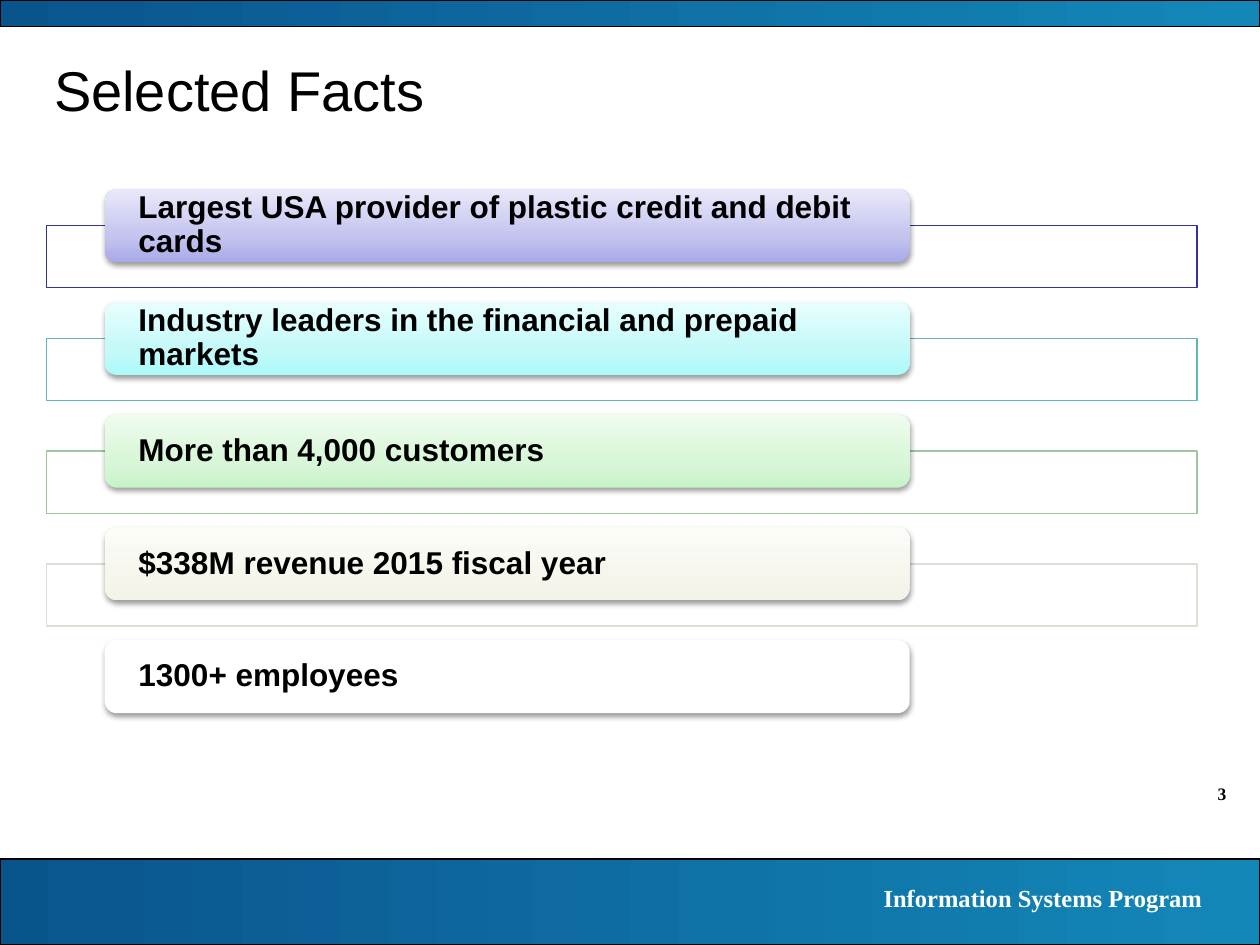
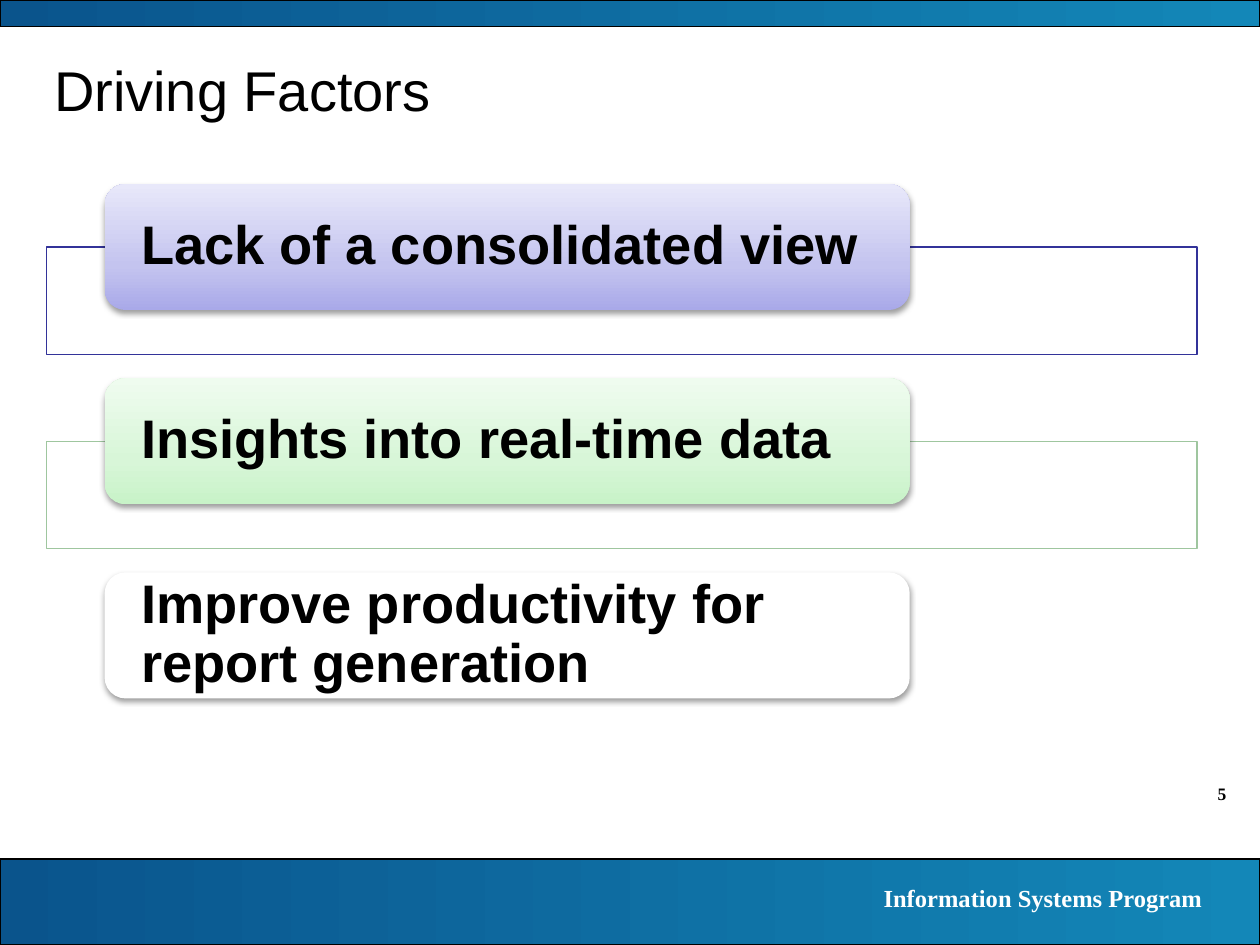
from dataclasses import dataclass
from lxml import etree
from pptx import Presentation
from pptx.dml.color import RGBColor
from pptx.enum.shapes import MSO_SHAPE
from pptx.enum.text import MSO_ANCHOR, PP_ALIGN
from pptx.oxml import parse_xml
from pptx.oxml.ns import nsdecls, qn
from pptx.util import Cm, Pt

RECT, ROUND = MSO_SHAPE.RECTANGLE, MSO_SHAPE.ROUNDED_RECTANGLE
TOP, MID = MSO_ANCHOR.TOP, MSO_ANCHOR.MIDDLE
LEFT, RIGHT = PP_ALIGN.LEFT, PP_ALIGN.RIGHT

SLIDES = [
    {"title": "Selected Facts", "page": "3", "size": 18, "top": 3.81, "facts": [
        ("Largest USA provider of plastic credit and debit cards", "blue"),
        ("Industry leaders in the financial and prepaid markets", "aqua"),
        ("More than 4,000 customers", "green"),
        ("$338M revenue 2015 fiscal year", "sand"),
        ("1300+ employees", "white")]},
    {"title": "Driving Factors", "page": "5", "size": 31, "top": 3.71, "facts": [
        ("Lack of a consolidated view", "blue"),
        ("Insights into real-time data", "green"),
        ("Improve productivity for report generation", "white")]},
]
FOOTER = "Information Systems Program"

TONES = {
    "blue": ("333399", [(0, "A9A9E9"), (35, "C4C4EF"), (100, "E8E8FA")]),
    "aqua": ("61B7B7", [(0, "ACF9F9"), (35, "C5F9F9"), (100, "E8FEFE")]),
    "green": ("9FC69F", [(0, "C8F3C8"), (35, "D8F6D8"), (100, "EFFCEF")]),
    "sand": ("DEDED4", [(0, "F3F3E7"), (35, "F6F6ED"), (100, "FCFCF8")]),
    "white": ("FFFFFF", [(0, "FFFFFF")]),
}


@dataclass(frozen=True)
class Theme:
    ink: str = "000000"
    paper: str = "FFFFFF"
    band: tuple = ((0, "0A548C"), (100, "1387B8"))
    sans: str = "Arial"
    serif: str = "Times New Roman"
    title: int = 32
    footer: int = 14
    page: int = 10
    line: float = 0.75


THEME = Theme()
WIDE, HIGH = 25.4, 19.05
BANDS = [(17.32, 1.73), (0, 0.53)]
FRAME_X, FRAME_W = 0.94, 23.19
CARD_X, CARD_W = 2.11, 16.23
CARD_PER_PT = 0.08 + 0.01 / 5
FRAME_RATIO, STEP_RATIO = 0.85, 1.54


def write(shape, text, size, font, color, bold=True, align=LEFT, anchor=TOP):
    frame = shape.text_frame
    frame.text = text
    frame.word_wrap = True
    frame.vertical_anchor = anchor
    para = frame.paragraphs[0]
    para.alignment = align
    face = para.runs[0].font
    face.name, face.size, face.bold = font, Pt(size), bold
    face.color.rgb = RGBColor.from_string(color)
    return frame


def label(slide, box, *args, **kwargs):
    write(slide.shapes.add_textbox(*map(Cm, box)), *args, **kwargs)


def blend(shape, stops, angle):
    shape.fill.background()
    marks = "".join(
        f'<a:gs pos="{pos * 1000}"><a:srgbClr val="{color}"/></a:gs>'
        for pos, color in stops)
    props = shape.element.spPr
    props.replace(props.find(qn("a:noFill")), parse_xml(
        f'<a:gradFill {nsdecls("a")} rotWithShape="1"><a:gsLst>{marks}</a:gsLst>'
        f'<a:lin ang="{angle * 60000}" scaled="0"/></a:gradFill>'))


def block(slide, kind, box, stops, angle=0, line=None):
    shape = slide.shapes.add_shape(kind, *map(Cm, box))
    shape.shadow.inherit = False
    if len(stops) > 1:
        blend(shape, stops, angle)
    else:
        shape.fill.solid()
        shape.fill.fore_color.rgb = RGBColor.from_string(stops[0][1])
    if line:
        shape.line.color.rgb = RGBColor.from_string(line)
        shape.line.width = Pt(THEME.line)
    else:
        shape.line.fill.background()
    return shape


def fade(shape, percent):
    color = shape.element.spPr.find(qn("a:solidFill"))[0]
    etree.SubElement(color, qn("a:alpha"), val=str(percent * 1000))


def shade(shape):
    shape.element.spPr.find(qn("a:effectLst")).append(parse_xml(
        f'<a:outerShdw {nsdecls("a")} blurRad="{Pt(3.1)}" dist="{Pt(1.6)}" '
        f'dir="5400000" rotWithShape="0"><a:srgbClr val="{THEME.ink}">'
        '<a:alpha val="38000"/></a:srgbClr></a:outerShdw>'))


def base(slide, title, page):
    label(slide, (22.86, 15.67, 2.11, 0.69), page, THEME.page, THEME.serif,
          THEME.ink, align=RIGHT)
    for top, tall in BANDS:
        block(slide, RECT, (0, top, WIDE, tall), THEME.band, line=THEME.ink)
    label(slide, (14.1, 17.68, 10.39, 0.86), FOOTER, THEME.footer, THEME.serif,
          THEME.paper, align=RIGHT)
    label(slide, (0.84, 0.84, 23.29, 1.9), title, THEME.title, THEME.sans,
          THEME.ink, bold=False, anchor=MID)


def stack(slide, facts, size, top):
    tall = size * CARD_PER_PT
    for row, (text, tone) in enumerate(facts):
        line, stops = TONES[tone]
        y = top + row * tall * STEP_RATIO
        frame = block(slide, RECT,
                      (FRAME_X, y + tall / 2, FRAME_W, tall * FRAME_RATIO),
                      [(0, THEME.paper)], line=line)
        fade(frame, 90)
        card = block(slide, ROUND, (CARD_X, y, CARD_W, tall), stops, 270)
        shade(card)
        body = write(card, text, size, THEME.sans, THEME.ink, anchor=MID)
        body.margin_left = body.margin_right = Cm(0.61)
        body.margin_top = body.margin_bottom = 0
        body.paragraphs[0].line_spacing = 0.9


def main():
    deck = Presentation()
    deck.slide_width, deck.slide_height = Cm(WIDE), Cm(HIGH)
    for page in SLIDES:
        slide = deck.slides.add_slide(deck.slide_layouts[6])
        base(slide, page["title"], page["page"])
        stack(slide, page["facts"], page["size"], page["top"])
    deck.save("out.pptx")


if __name__ == "__main__":
    main()
